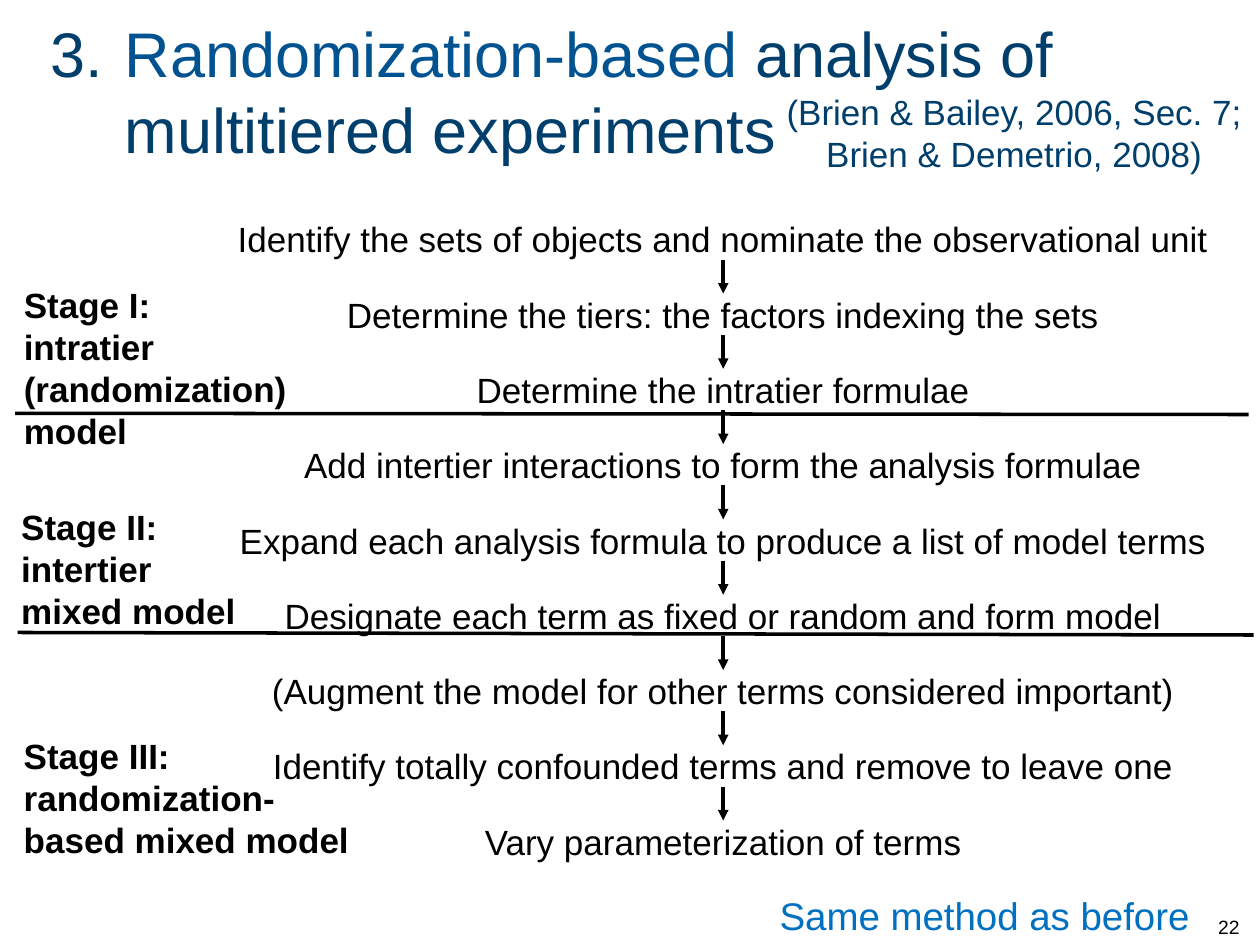
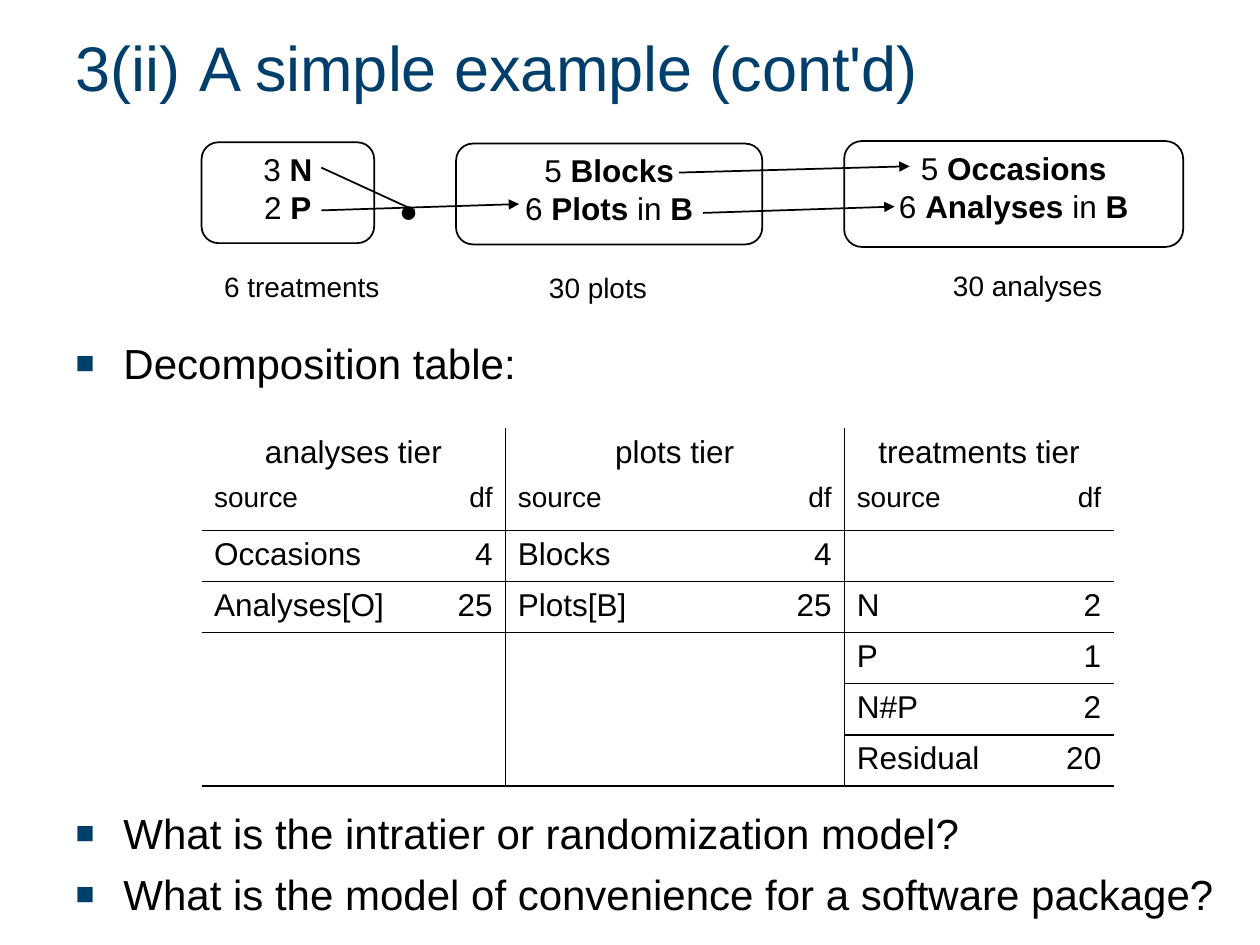
from lxml.etree import SubElement
from pptx import Presentation
from pptx.dml.color import RGBColor
from pptx.enum.shapes import MSO_CONNECTOR as Connector, MSO_SHAPE as Shape
from pptx.enum.text import MSO_ANCHOR as Anchor, MSO_AUTO_SIZE as AutoSize, PP_ALIGN as Align
from pptx.oxml.ns import qn
from pptx.util import Inches, Pt

FONT = "Arial"
NAVY, BLUE, SKY, BLACK = "003E6C", "005390", "0070C0", "000000"
TITLE_SIZE = 36
PLAIN_TABLE = "{2D5ABB26-0587-4C30-8999-92F81FD0307C}"
ROW_HEIGHT = 2.84 / 7

STEPS = [
    "Identify the sets of objects and nominate the observational unit",
    "Determine the tiers: the factors indexing the sets",
    "Determine the intratier formulae",
    "Add intertier interactions to form the analysis formulae",
    "Expand each analysis formula to produce a list of model terms",
    "Designate each term as fixed or random and form model",
    "(Augment the model for other terms considered important)",
    "Identify totally confounded terms and remove to leave one",
    "Vary parameterization of terms",
]
STAGES = [
    ("Stage I: \vintratier (randomization) model", (0.09, 2.2, 3.18, 1.1)),
    ("Stage II: intertier mixed model", (0.07, 3.96, 2.03, 1.1)),
    ("Stage III: randomization-based mixed model", (0.09, 5.78, 2.87, 1.1)),
]
STAGE_DIVIDERS = [((0.12, 3.28), (9.91, 3.29)), ((0.14, 5.02), (9.95, 5.04))]
PANELS = [
    (["3 *N*", "2 *P*"], "6 treatments", -0.03, (1.6, 1.13, 1.37, 0.8)),
    (["5 *Blocks*", "6 *Plots *in *B*"], "30 plots", 0.3, (3.62, 1.14, 2.43, 0.8)),
    (["5 *Occasions*", "6 *Analyses *in *B*"], "30 analyses", 0.63, (6.7, 1.12, 2.69, 0.84)),
]
ASSIGNMENTS = [((2.55, 1.67), (4.12, 1.62)), ((5.39, 1.37), (7.22, 1.32)),
               ((5.58, 1.69), (7.1, 1.64))]
TIERS = [
    ("analyses tier", [("Occasions", "4"), ("Analyses[O]", "25")], (1.8, 0.61), (1, 2, 3, 6)),
    ("plots tier", [("Blocks", "4"), ("Plots[B]", "25")], (2.08, 0.61), (1, 2, 3, 6)),
    ("treatments tier", [("", ""), ("N", "2"), ("P", "1"), ("N#P", "2"), ("Residual", "20")],
     (1.6, 0.54), range(1, 7)),
]


def rgb(code):
    """Turn a hex string into a colour."""
    return RGBColor.from_string(code)


def write(frame, paragraphs, size=20, color=BLACK, bold=False, align=Align.LEFT,
          anchor=Anchor.TOP, before=0, hanging=0, wrap=True):
    """Fill a text frame; a paragraph is a string or a list of (text, overrides) runs."""
    frame.word_wrap = wrap
    frame.auto_size = AutoSize.NONE
    frame.vertical_anchor = anchor
    for number, content in enumerate(paragraphs):
        paragraph = frame.add_paragraph() if number else frame.paragraphs[0]
        paragraph.alignment = align
        paragraph.space_before = Pt(before)
        if hanging:
            properties = paragraph._p.get_or_add_pPr()
            properties.set("marL", str(Inches(hanging)))
            properties.set("indent", str(-Inches(hanging)))
        runs = [(content, {})] if isinstance(content, str) else content
        for text, overrides in runs:
            for position, part in enumerate(text.split("\v")):
                if position:
                    paragraph.add_line_break()
                run = paragraph.add_run()
                run.text = part
                run.font.name = FONT
                run.font.size = Pt(size)
                run.font.bold = overrides.get("bold", bold)
                run.font.color.rgb = rgb(overrides.get("color", color))


def place(shape, box):
    """Move a shape to a box given in inches."""
    shape.left, shape.top, shape.width, shape.height = map(Inches, box)


def label(slide, text, box, **style):
    """Add a text box."""
    write(slide.shapes.add_textbox(*map(Inches, box)).text_frame, [text], **style)


def title(slide, content, box, hanging):
    """Fill the title placeholder in the shared title style."""
    place(slide.shapes.title, box)
    write(slide.shapes.title.text_frame, [content], size=TITLE_SIZE, color=NAVY,
          anchor=Anchor.MIDDLE, hanging=hanging)


def bullets(placeholder, items, box, before):
    """Fill a body placeholder with square bullets."""
    place(placeholder, box)
    write(placeholder.text_frame, items, size=24, before=before, hanging=0.38)
    for paragraph in placeholder.text_frame.paragraphs:
        properties = paragraph._p.get_or_add_pPr()
        SubElement(SubElement(properties, qn("a:buClr")), qn("a:srgbClr"), val=NAVY)
        SubElement(properties, qn("a:buSzPct"), val="75000")
        SubElement(properties, qn("a:buFont"), typeface=FONT)
        SubElement(properties, qn("a:buChar"), char="■")


def line(slide, start, end, width, arrow=False):
    """Draw a straight black line, with an arrowhead at its end if asked."""
    connector = slide.shapes.add_connector(Connector.STRAIGHT, *map(Inches, start + end))
    connector.line.color.rgb = rgb(BLACK)
    connector.line.width = Pt(width)
    if arrow:
        SubElement(connector.line._get_or_add_ln(), qn("a:tailEnd"), type="triangle")
    SubElement(connector._element.spPr, qn("a:effectLst"))


def step_chain(slide, box):
    """Stack the steps evenly in a box, with an arrow from each to the next."""
    left, top, width, height = box
    row_height = 0.43
    pitch = (height - row_height) / (len(STEPS) - 1)
    middle = left + width / 2
    for number, step in enumerate(STEPS):
        y = top + number * pitch
        label(slide, step, (left, y, width, row_height), align=Align.CENTER)
        if number < len(STEPS) - 1:
            line(slide, (middle, y + 0.38), (middle, y + 0.65), 2, arrow=True)


def emphasise(text):
    """Split a string into runs, bold between asterisks."""
    return [(part, {"bold": number % 2 == 1})
            for number, part in enumerate(text.split("*")) if part]


def factor_panel(slide, factors, count, count_shift, box):
    """Draw a rounded panel of factors with the count of objects below."""
    left, top = box[:2]
    panel = slide.shapes.add_shape(Shape.ROUNDED_RECTANGLE, *map(Inches, box))
    panel.shadow.inherit = False
    panel.fill.background()
    panel.line.color.rgb = rgb(BLACK)
    panel.line.width = Pt(1)
    frame = panel.text_frame
    frame.margin_left = frame.margin_right = Inches(0.01)
    frame.margin_top = frame.margin_bottom = Inches(0.02)
    write(frame, [emphasise(factor) for factor in factors], size=18, align=Align.CENTER)
    label(slide, count, (left + count_shift, top + 0.96, 1.65, 0.37), size=16,
          align=Align.CENTER)


def border(cell, side):
    """Rule one side of a cell, L or B, in thin black."""
    edge = SubElement(cell._tc.get_or_add_tcPr(), qn(f"a:ln{side}"), w=str(Pt(0.75)))
    SubElement(SubElement(edge, qn("a:solidFill")), qn("a:srgbClr"), val=BLACK)


def tier_table(slide, name, sources, widths, ruled_rows, left_rule, box):
    """Add the table of sources and degrees of freedom of one tier."""
    table = slide.shapes.add_table(7, 2, *map(Inches, box)).table
    table.first_row = table.horz_banding = False
    table._tbl.tblPr.find(qn("a:tableStyleId")).text = PLAIN_TABLE
    for column, width in zip(table.columns, widths):
        column.width = Inches(width)
    rows = [(name, ""), ("source", "df")] + sources
    rows += [("", "")] * (7 - len(rows))
    for r, row in enumerate(rows):
        table.rows[r].height = Inches(ROW_HEIGHT)
        for c, text in enumerate(row):
            cell = table.cell(r, c)
            if r == 1:
                cell.margin_top = cell.margin_bottom = Inches(0.02)
            if text:
                align = Align.CENTER if r == 0 else (Align.LEFT, Align.RIGHT)[c]
                write(cell.text_frame, [text], size=16 if r == 1 else 18, align=align)
            if left_rule and c == 0:
                border(cell, "L")
            if r in ruled_rows:
                border(cell, "B")
            cell.fill.background()
    table.cell(0, 0).merge(table.cell(0, 1))


def tier_tables(slide, left, top):
    """Set the tier tables side by side."""
    for number, (name, sources, widths, ruled_rows) in enumerate(TIERS):
        box = (left, top, sum(widths), 7 * ROW_HEIGHT)
        tier_table(slide, name, sources, widths, ruled_rows, number > 0, box)
        left += sum(widths)


def method_slide(deck):
    """Build the slide of stages and steps."""
    slide = deck.slides.add_slide(deck.slide_layouts[5])
    title(slide, [("3.\t", {}), ("Randomization-based ", {"color": BLUE}),
                  ("analysis of multitiered experiments", {})], (0.3, 0.08, 9.7, 1.27), 0.59)
    label(slide, "22", (9.57, 7, 0.42, 0.5), size=11, anchor=Anchor.BOTTOM)
    step_chain(slide, (1.26, 1.68, 8.96, 5.21))
    for start, end in STAGE_DIVIDERS:
        line(slide, start, end, 2)
    for stage, box in STAGES:
        label(slide, stage, box, bold=True)
    label(slide, "Same method as before", (5.95, 7.03, 3.73, 0.47), size=22, color=SKY,
          align=Align.CENTER)
    label(slide, "(Brien & Bailey, 2006, Sec. 7; Brien & Demetrio, 2008)",
          (6.05, 0.67, 4, 0.77), color=NAVY, align=Align.CENTER)


def example_slide(deck):
    """Build the slide of factor panels and decomposition table."""
    slide = deck.slides.add_slide(deck.slide_layouts[3])
    title(slide, "3(ii)\tA simple example (cont'd)", (0.5, 0.08, 9, 0.9), 0.98)
    heading, questions = slide.placeholders[1], slide.placeholders[2]
    bullets(heading, ["Decomposition table:"], (0.5, 2.63, 9.25, 0.62), 0.2)
    bullets(questions, ["What is the intratier or randomization model?",
                        "What is the model of convenience for a software package?"],
            (0.5, 6.36, 9.25, 1.03), 6)
    tier_tables(slide, 1.6, 3.4)
    for panel in PANELS:
        factor_panel(slide, *panel)
    label(slide, "●", (3.07, 1.47, 0.42, 0.4), size=18, wrap=False)
    line(slide, (2.55, 1.33), (3.29, 1.67), 1)
    for start, end in ASSIGNMENTS:
        line(slide, start, end, 1, arrow=True)


def main():
    """Build and save the deck."""
    deck = Presentation()
    deck.slide_width, deck.slide_height = Inches(10), Inches(7.5)
    method_slide(deck)
    example_slide(deck)
    deck.save("out.pptx")


if __name__ == "__main__":
    main()
